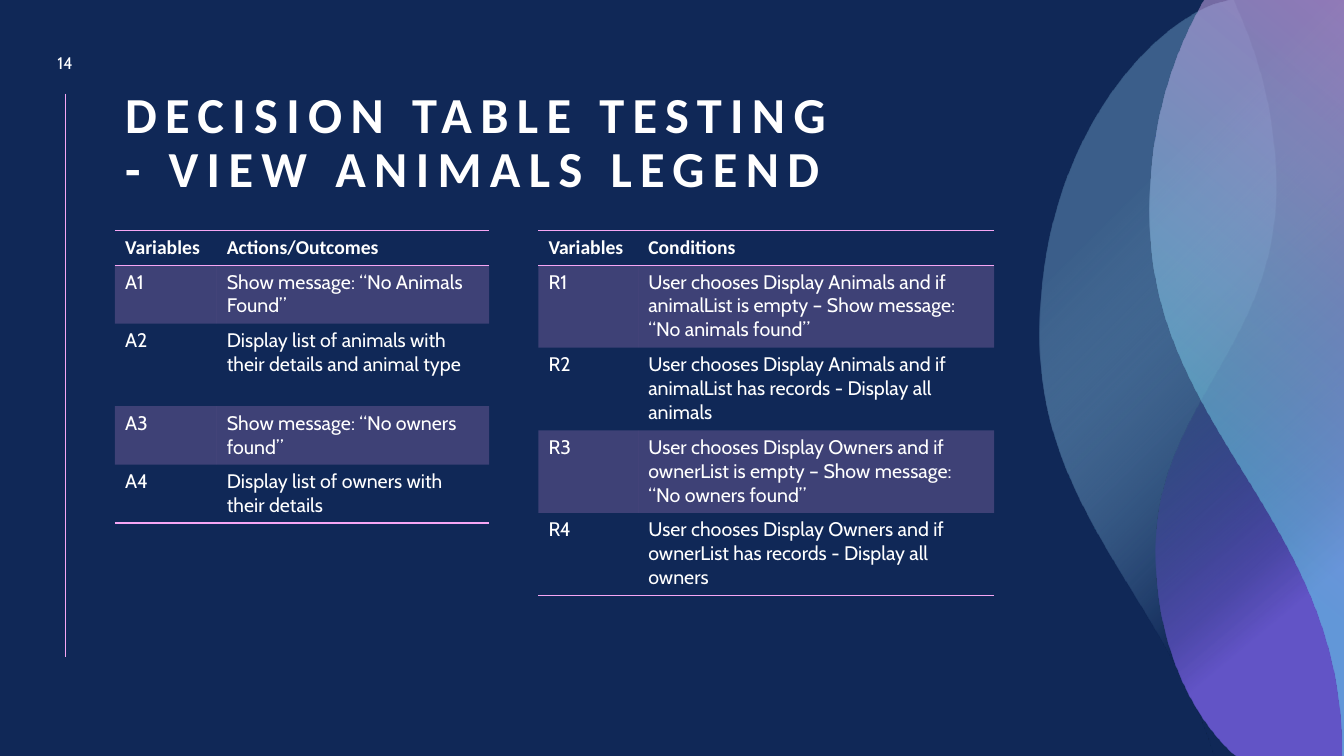
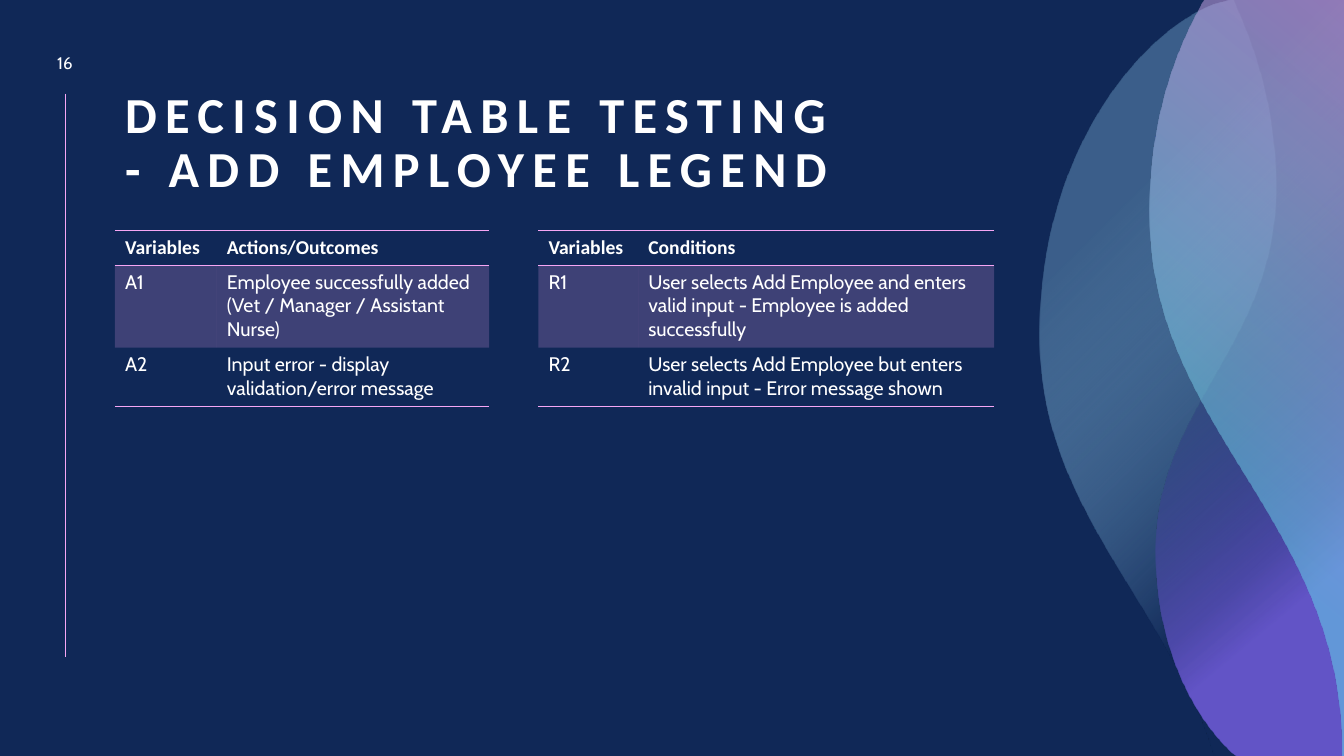
from math import ceil
from pptx import Presentation
from pptx.dml.color import RGBColor
from pptx.enum.shapes import MSO_CONNECTOR
from pptx.enum.text import MSO_ANCHOR, MSO_AUTO_SIZE, PP_ALIGN
from pptx.oxml.ns import qn
from pptx.util import Inches, Pt
from lxml import etree

STRAIGHT = MSO_CONNECTOR.STRAIGHT
MIDDLE, BOTTOM = MSO_ANCHOR.MIDDLE, MSO_ANCHOR.BOTTOM
NO_FIT = MSO_AUTO_SIZE.NONE
LEFT, CENTER = PP_ALIGN.LEFT, PP_ALIGN.CENTER

NAVY = RGBColor(0x10, 0x28, 0x57)
SKY = RGBColor(0x92, 0xCD, 0xF0)
PURPLE = RGBColor(0x76, 0x5F, 0xE1)
TEAL = RGBColor(0x64, 0xDF, 0xED)
PINK = RGBColor(0xF6, 0xA6, 0xF4)
WHITE = RGBColor(0xFF, 0xFF, 0xFF)
HEAD, BODY = "Calibri", "Cabin"
PLAIN = "{2D5ABB26-0587-4C30-8999-92F81FD0307C}"
UNITS = 100

RIBBONS = [
    ([(12.2, 0), (13.34, 0), (13.34, 7.5), (12.04, 7.5), (12.02, 7.43),
      (11.54, 5.95, 10.31, 5.03, 10.31, 3.34),
      (10.3, 1.51, 11.32, 0.31, 12.05, 0.04)],
     [(0.26, NAVY, 100), (0.73, SKY, 33)], None),
    ([(12.23, 0), (13.33, 0), (13.33, 7.5), (12.26, 7.5), (12.24, 7.49),
      (11.85, 7.14, 11.46, 6.43, 11.46, 5.46),
      (11.47, 4.04, 12.63, 3.43, 12.65, 1.92),
      (12.66, 1.17, 12.48, 0.58, 12.28, 0.12)],
     [(0.37, NAVY, 28), (0.79, PURPLE, 80)], 310),
    ([(11.94, 0), (13.33, 0), (13.33, 7.5), (13.3, 7.5), (13.3, 7.37),
      (13.26, 5.14, 11.41, 4.24, 11.4, 2.15),
      (11.39, 1.36, 11.58, 0.69, 11.85, 0.17)],
     [(0.32, TEAL, 48), (1, PINK, 49)], 50),
]

SLIDES = [
    ("14", "DECISION TABLE TESTING\v- VIEW ANIMALS LEGEND",
     [("A1", "Show message: “No Animals Found”"),
      ("A2", "Display list of animals with their details and animal type"),
      ("A3", "Show message: “No owners found”"),
      ("A4", "Display list of owners with their details")],
     [("R1", "User chooses Display Animals and if animalList is empty – Show message: “No animals found”"),
      ("R2", "User chooses Display Animals and if animalList has records - Display all animals"),
      ("R3", "User chooses Display Owners and if ownerList is empty – Show message: “No owners found”"),
      ("R4", "User chooses Display Owners and if ownerList has records - Display all owners")]),
    ("16", "DECISION TABLE TESTING\v- ADD EMPLOYEE LEGEND",
     [("A1", "Employee successfully added (Vet / Manager / Assistant Nurse)"),
      ("A2", "Input error - display validation/error message")],
     [("R1", "User selects Add Employee and enters valid input - Employee is added successfully"),
      ("R2", "User selects Add Employee but enters invalid input - Error message shown")]),
]


def write(frame, text, size=14, font=BODY, bold=False, align=LEFT, space=None, track=None):
    par = frame.paragraphs[0]
    par.text = text
    par.alignment = align
    par.line_spacing = space
    for run in par.runs:
        run.font.size = Pt(size)
        run.font.name = font
        run.font.bold = bold
        run.font.color.rgb = WHITE
        if track:
            run.font._element.set("spc", str(track * 100))


def fade(color, alpha):
    node = etree.SubElement(color, qn("a:alpha"))
    node.set("val", str(alpha * 1000))


deck = Presentation()
deck.slide_width, deck.slide_height = Inches(13.33), Inches(7.5)
back = deck.slide_master.background.fill
back.solid()
back.fore_color.rgb = NAVY
layout = deck.slide_layouts[5]
pages = [deck.slides.add_slide(layout) for item in SLIDES]

shapes = pages[0].shapes
rail = shapes.add_connector(STRAIGHT, Inches(0.65), Inches(0.93), Inches(0.65), Inches(6.52))
rail.line.color.rgb = PINK
rail.line.width = Pt(0.5)
etree.SubElement(rail._element.spPr, qn("a:effectLst"))
layout.shapes._spTree.append(rail._element)

for steps, stops, angle in RIBBONS:
    ends = [[round(n * UNITS) for n in step[-2:]] for step in steps]
    base = min(x for x, y in ends)
    pen = shapes.build_freeform(*ends[0], scale=Inches(1) / UNITS)
    pen.add_line_segments(ends[1:], close=True)
    ribbon = pen.convert_to_shape()
    edges = list(ribbon._element.iter(qn("a:lnTo")))
    for edge, step in zip(edges, steps[1:]):
        if len(step) == 6:
            curve = etree.Element(qn("a:cubicBezTo"))
            for x, y in zip(step[::2], step[1::2]):
                etree.SubElement(curve, qn("a:pt"), x=str(round(x * UNITS) - base),
                                 y=str(round(y * UNITS)))
            edge.getparent().replace(edge, curve)
    ribbon.shadow.inherit = False
    ribbon.line.fill.background()
    ribbon.fill.gradient()
    for stop, (place, color, alpha) in zip(ribbon.fill.gradient_stops, stops):
        stop.position = place
        stop.color.rgb = color
    grad = ribbon._element.spPr.find(qn("a:gradFill"))
    for node, (place, color, alpha) in zip(grad.iter(qn("a:srgbClr")), stops):
        fade(node, alpha)
    if angle is None:
        grad.remove(grad.find(qn("a:lin")))
        glow = etree.SubElement(grad, qn("a:path"), path="circle")
        etree.SubElement(glow, qn("a:fillToRect"), l="100000", t="100000")
    else:
        ribbon.fill.gradient_angle = angle
    layout.shapes._spTree.append(ribbon._element)

for page, (number, title, acts, rules) in zip(pages, SLIDES):
    shapes = page.shapes
    label = shapes.add_textbox(Inches(0.36), Inches(0.45), Inches(0.57), Inches(0.34))
    label.text_frame.word_wrap = True
    label.text_frame.vertical_anchor = MIDDLE
    write(label.text_frame, number, size=12, align=CENTER)

    for left, widths, name, rows in (
            (1.14, (1.01, 2.7), "Actions/Outcomes", acts),
            (5.34, (0.99, 3.53), "Conditions", rules)):
        lines = [("Variables", name)] + rows
        table = shapes.add_table(len(lines), 2, Inches(left), Inches(2.29),
                                 Inches(sum(widths)), Inches(0.41 * len(lines))).table
        table._tbl.tblPr.find(qn("a:tableStyleId")).text = PLAIN
        for column, width in zip(table.columns, widths):
            column.width = Inches(width)
        for r, line in enumerate(lines):
            count = ceil(len(line[1]) / (10.7 * widths[1]))
            table.rows[r].height = Inches(0.34 + 0.24 * (count - 1))
            edges = {0: ("a:lnT", "a:lnB"), len(rows): ("a:lnB",)}.get(r, ())
            for c, text in enumerate(line):
                cell = table.cell(r, c)
                write(cell.text_frame, text, font=BODY if r else HEAD, bold=r == 0)
                props = cell._tc.get_or_add_tcPr()
                for edge in edges:
                    border = etree.SubElement(props, qn(edge), w=str(Pt(1)))
                    paint = etree.SubElement(border, qn("a:solidFill"))
                    etree.SubElement(paint, qn("a:srgbClr"), val=str(PINK))
                if r % 2:
                    cell.fill.solid()
                    cell.fill.fore_color.rgb = PINK
                    fade(props.find(qn("a:solidFill"))[0], 20)
                else:
                    cell.fill.background()

    head = shapes.title
    head.left, head.top = Inches(1.14), Inches(0.91)
    head.width, head.height = Inches(9.71), Inches(1.11)
    head.text_frame.word_wrap = True
    head.text_frame.auto_size = NO_FIT
    head.text_frame.vertical_anchor = BOTTOM
    write(head.text_frame, title, size=36, font=HEAD, bold=True, space=0.9, track=6)

deck.save("out.pptx")
